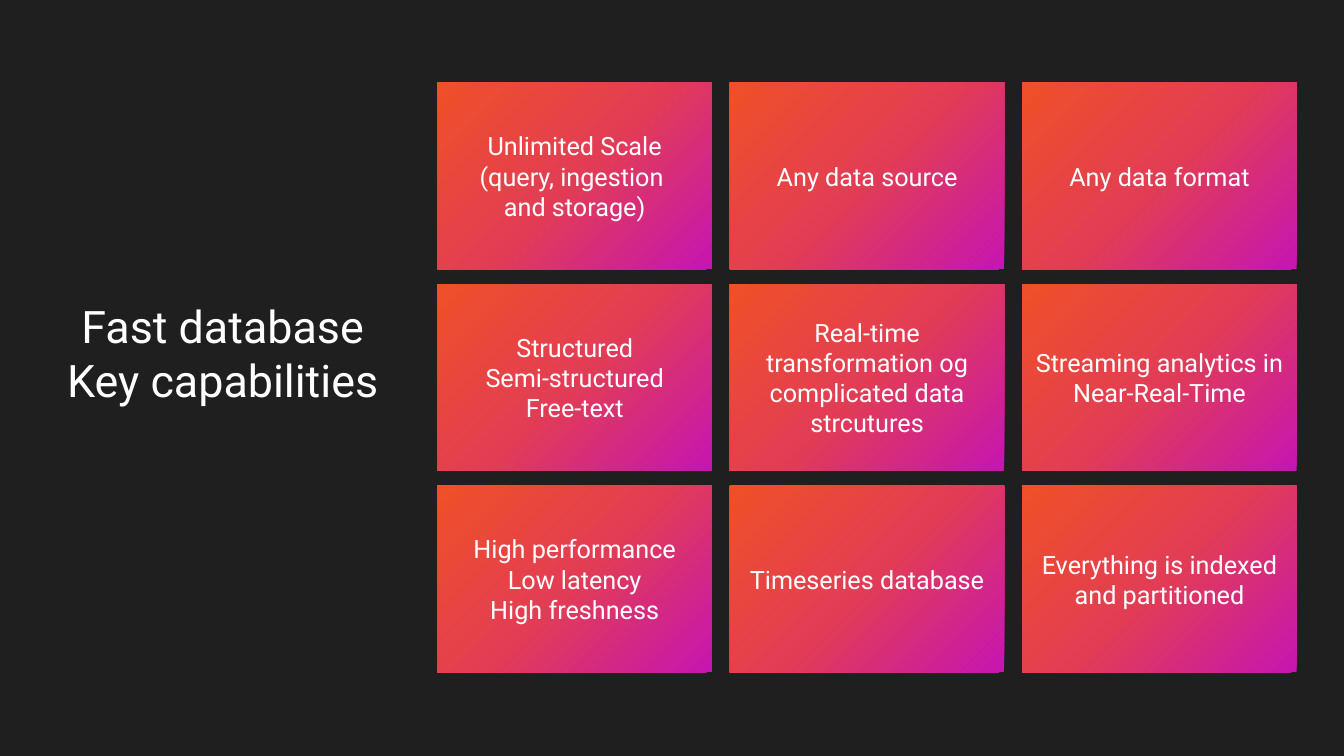
import dataclasses

import lxml.etree
import pptx
import pptx.dml.color
import pptx.enum.shapes
import pptx.enum.text
import pptx.oxml
import pptx.oxml.ns
import pptx.util

Inches = pptx.util.Inches

BACKDROP = "1F1F1F"
WHITE = "FFFFFF"
TILE_GRADIENT = ((0, "F05027"), (50, "E23D54"), (100, "C615B2"))

GRID_LEFT, GRID_TOP = 4.34, 0.82
TILE_WIDTH, TILE_HEIGHT = 2.72, 1.85
COLUMN_STEP, ROW_STEP = 2.9, 2.0
COLUMNS = 3


@dataclasses.dataclass(frozen=True)
class Capability:
    lines: tuple[str, ...]


CAPABILITIES = (
    Capability(("Unlimited Scale", "(query, ingestion ", "and storage)")),
    Capability(("Any data source",)),
    Capability(("Any data format",)),
    Capability(("Structured", "Semi-structured", "Free-text")),
    Capability(("Real-time transformation og complicated data strcutures",)),
    Capability(("Streaming analytics in Near-Real-Time",)),
    Capability(("High performance", "Low latency", "High freshness")),
    Capability(("Timeseries database",)),
    Capability(("Everything is indexed and partitioned",)),
)


def rgb(value: str) -> pptx.dml.color.RGBColor:
    return pptx.dml.color.RGBColor.from_string(value)


def write_centred(shape, lines: tuple[str, ...], size: float) -> None:
    frame = shape.text_frame
    frame.word_wrap = True
    frame.vertical_anchor = pptx.enum.text.MSO_ANCHOR.MIDDLE
    frame.text = "\n".join(lines)
    for paragraph in frame.paragraphs:
        paragraph.alignment = pptx.enum.text.PP_ALIGN.CENTER
        paragraph.font.name = "Roboto"
        paragraph.font.size = pptx.util.Pt(size)
        paragraph.font.color.rgb = rgb(WHITE)


def fill_from_corner(shape) -> None:
    """Fill with a radial gradient that spreads from the top left corner."""
    stops = "".join(
        f'<a:gs pos="{percent * 1000}"><a:srgbClr val="{colour}"/></a:gs>'
        for percent, colour in TILE_GRADIENT
    )
    gradient = pptx.oxml.parse_xml(
        f'<a:gradFill {pptx.oxml.ns.nsdecls("a")} rotWithShape="1">'
        f"<a:gsLst>{stops}</a:gsLst>"
        '<a:path path="circle"><a:fillToRect r="100000" b="100000"/></a:path>'
        '<a:tileRect l="-100000" t="-100000"/></a:gradFill>'
    )
    shape.fill.background()
    properties = shape.element.spPr
    properties.replace(properties.find(pptx.oxml.ns.qn("a:noFill")), gradient)


def add_tile(slide, index: int, capability: Capability) -> None:
    row, column = divmod(index, COLUMNS)
    tile = slide.shapes.add_shape(
        pptx.enum.shapes.MSO_SHAPE.RECTANGLE,
        Inches(GRID_LEFT + column * COLUMN_STEP),
        Inches(GRID_TOP + row * ROW_STEP),
        Inches(TILE_WIDTH),
        Inches(TILE_HEIGHT),
    )
    tile.shadow.inherit = False
    fill_from_corner(tile)
    tile.line.fill.background()
    write_centred(tile, capability.lines, 18)


def main() -> None:
    deck = pptx.Presentation()
    deck.slide_width, deck.slide_height = Inches(13.33), Inches(7.5)
    slide = deck.slides.add_slide(deck.slide_layouts[6])
    slide.background.fill.solid()
    slide.background.fill.fore_color.rgb = rgb(BACKDROP)

    heading = slide.shapes.add_textbox(
        Inches(0.4), Inches(2.69), Inches(3.62), Inches(1.62)
    )
    write_centred(heading, ("Fast database", "Key capabilities"), 32)

    for index, capability in enumerate(CAPABILITIES):
        add_tile(slide, index, capability)

    deck.save("out.pptx")


if __name__ == "__main__":
    main()
